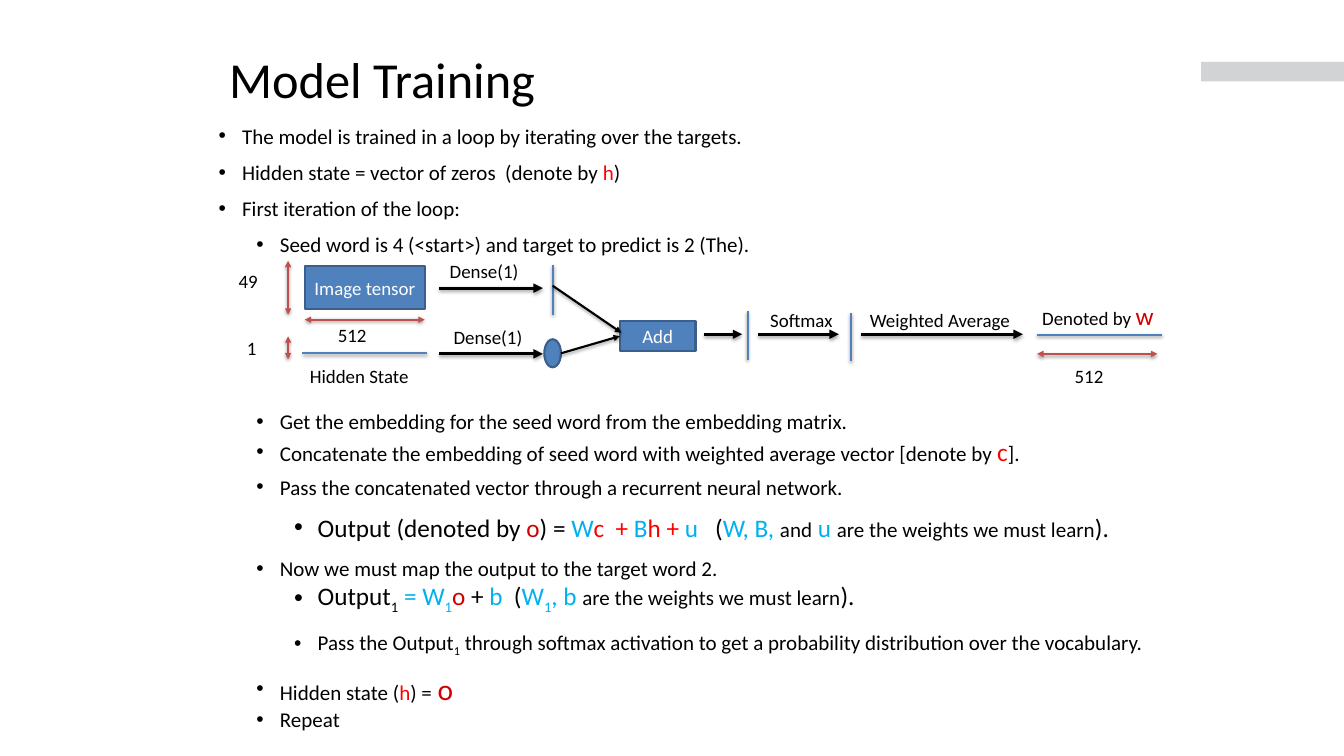
from lxml import etree
from pptx import Presentation
from pptx.dml.color import RGBColor
from pptx.enum.shapes import MSO_CONNECTOR, MSO_SHAPE
from pptx.enum.text import MSO_ANCHOR, MSO_AUTO_SIZE, PP_ALIGN
from pptx.oxml.ns import qn
from pptx.util import Cm, Pt

RECTANGLE, OVAL = MSO_SHAPE.RECTANGLE, MSO_SHAPE.OVAL
STRAIGHT = MSO_CONNECTOR.STRAIGHT
TOP, MIDDLE = MSO_ANCHOR.TOP, MSO_ANCHOR.MIDDLE
LEFT, CENTER = PP_ALIGN.LEFT, PP_ALIGN.CENTER
NO_FIT = MSO_AUTO_SIZE.NONE

FONT = "Calibri"
COLORS = {
    "black": "000000", "white": "FFFFFF", "gray": "D1D3D4",
    "blue": "4F81BD", "edge": "3A5F8C", "brick": "C0504D",
    "red": "FF0000", "crimson": "D00000", "cyan": "00B0F0",
}


def color(name):
    return RGBColor.from_string(COLORS[name])


def write(para, spans, size, name="black", align=LEFT):
    para.alignment = align
    para.font.name = FONT
    para.font.size = Pt(size)
    para.font.color.rgb = color(name)
    for text, span_color, span_size, *subscript in spans:
        span = para.add_run()
        span.text = text
        if span_color:
            span.font.color.rgb = color(span_color)
        if span_size:
            span.font.size = Pt(span_size)
        if subscript:
            span.font._element.set("baseline", "-25000")


deck = Presentation()
deck.slide_width, deck.slide_height = Cm(45.16), Cm(25.4)
page = deck.slides.add_slide(deck.slide_layouts[1])

bar = page.shapes.add_shape(RECTANGLE, Cm(40.36), Cm(2.08), Cm(4.8), Cm(0.66))
bar.shadow.inherit = False
bar.fill.solid()
bar.fill.fore_color.rgb = color("gray")
bar.line.fill.background()

title = page.shapes.title
title.left, title.top, title.width, title.height = Cm(7.7), Cm(1.6), Cm(33.22), Cm(1.35)
frame = title.text_frame
frame.margin_left = frame.margin_right = frame.margin_top = frame.margin_bottom = 0
frame.vertical_anchor = TOP
frame.auto_size = NO_FIT
write(frame.paragraphs[0], [("Model Training", None, None)], 48)

bullets = [
    (0, 0, [("The model is trained in a loop by iterating over the targets.", None, None)]),
    (0, 10.5, [("Hidden state = vector of zeros  (denote by ", None, None),
               ("h", "red", None), (")", None, None)]),
    (0, 10.5, [("First iteration of the loop:", None, None)]),
    (1, 10.5, [("Seed word is 4 (<start>) and target to predict is 2 (The).", None, None)]),
    (1, 144, [("Get the embedding for the seed word from the embedding matrix.", None, None)]),
    (1, 3, [("Concatenate the embedding of seed word with weighted average vector [denote by ",
             None, None), ("c", "red", 24), ("].", None, None)]),
    (1, 7, [("Pass the concatenated vector through a recurrent neural network.", None, None)]),
    (2, 12, [("Output (denoted by ", None, 24), ("o", "crimson", 24), (") = ", None, 24),
             ("W", "cyan", 24), ("c  + ", "red", 24), ("B", "cyan", 24), ("h + ", "red", 24),
             ("u   ", "cyan", 24), ("(", None, 24), ("W, B, ", "cyan", 24),
             ("and", None, None), (" u ", "cyan", 24),
             ("are the weights we must learn", None, None), (").", None, 24)]),
    (1, 12.5, [("Now we must map the output to the target word 2.", None, None)]),
    (2, 0, [("Output", None, 24), ("1", None, 24, True), (" = W", "cyan", 24),
            ("1", "cyan", 24, True), ("o", "crimson", 24), (" + ", None, 24),
            ("b  ", "cyan", 24), ("(", None, 24), ("W", "cyan", 24),
            ("1", "cyan", 24, True), (", b ", "cyan", 24),
            ("are the weights we must learn", None, None), (").", None, 24)]),
    (2, 13.5, [("Pass the Output", None, None), ("1", None, None, True),
               (" through softmax activation to get a probability distribution over the vocabulary.",
                None, None)]),
    (1, 12.5, [("Hidden state (", None, None), ("h", "red", None), (") =", None, None),
               (" ", None, 24), ("o", "crimson", 28)]),
    (1, 0, [("Repeat", None, None)]),
]
body = page.placeholders[1]
body.left, body.top, body.width, body.height = Cm(7.09), Cm(4.01), Cm(35.74), Cm(21.08)
frame = body.text_frame
frame.word_wrap = True
frame.auto_size = NO_FIT
frame.vertical_anchor = TOP
for index, (level, gap, spans) in enumerate(bullets):
    para = frame.add_paragraph() if index else frame.paragraphs[0]
    para.level = level
    layout = para._p.get_or_add_pPr()
    layout.set("marL", str(Cm(0.79 + 1.27 * level)))
    layout.set("indent", str(-Cm(0.79)))
    etree.SubElement(layout, qn("a:buFont")).set("typeface", "Arial")
    etree.SubElement(layout, qn("a:buChar")).set("char", "•")
    para.space_before = Pt(gap)
    para.space_after = Pt(0)
    write(para, spans, 20)

blocks = {}
for name, kind, left, top, width, height, text in [
    ("image", RECTANGLE, 10.24, 8.94, 4.04, 1.45, "Image tensor"),
    ("score", OVAL, 18.29, 11.4, 0.56, 0.94, ""),
    ("add", RECTANGLE, 20.83, 10.8, 2.54, 0.99, "Add"),
]:
    block = page.shapes.add_shape(kind, Cm(left), Cm(top), Cm(width), Cm(height))
    block.shadow.inherit = False
    block.fill.solid()
    block.fill.fore_color.rgb = color("blue")
    block.line.color.rgb = color("edge")
    block.line.width = Pt(2)
    if text:
        block.text_frame.vertical_anchor = MIDDLE
        write(block.text_frame.paragraphs[0], [(text, None, None)], 18, "white", CENTER)
    blocks[name] = block

vectors = [
    (18.57, 8.92, 18.57, 10.57), (25.12, 10.46, 25.12, 12.09),
    (28.6, 10.52, 28.6, 12.14), (10.16, 11.86, 14.35, 11.86),
    (34.85, 11.25, 39.04, 11.25),
]
dimensions = [
    (9.68, 8.76, 9.68, 10.57), (10.24, 10.74, 14.27, 10.74),
    (9.68, 11.3, 9.68, 12.07), (34.85, 11.89, 38.89, 11.89),
]
steps = [
    (14.76, 9.68, 18.24, 9.68), (14.76, 11.89, 18.24, 11.89),
    (23.67, 11.23, 24.94, 11.23), (25.48, 11.23, 28.19, 11.23),
    (28.93, 11.23, 34.37, 11.23),
]
merges = [(18.57, 9.6, 20.88, 11.18), (18.85, 11.87, 20.83, 11.29)]

for group, line_color, weight, ends, distance, alpha in [
    (vectors, "blue", 2, [], 20000, 38000),
    (dimensions, "brick", 2, ["a:headEnd", "a:tailEnd"], 20000, 38000),
    (steps, "black", 3, ["a:tailEnd"], 23000, 35000),
    (merges, "black", 2, ["a:tailEnd"], 20000, 38000),
]:
    for points in group:
        link = page.shapes.add_connector(STRAIGHT, *[Cm(point) for point in points])
        link.line.color.rgb = color(line_color)
        link.line.width = Pt(weight)
        for end in ends:
            etree.SubElement(link.line._get_or_add_ln(), qn(end)).set("type", "triangle")
        effects = etree.SubElement(link._element.spPr, qn("a:effectLst"))
        shadow = etree.SubElement(effects, qn("a:outerShdw"), blurRad="40000",
                                  dist=str(distance), dir="5400000", rotWithShape="0")
        tone = etree.SubElement(shadow, qn("a:srgbClr"), val=COLORS["black"])
        etree.SubElement(tone, qn("a:alpha"), val=str(alpha))
link.end_connect(blocks["add"], 1)

for left, top, width, spans in [
    (7.77, 8.94, 3.18, [("49", None, None)]),
    (11.1, 10.74, 3.18, [("512", None, None)]),
    (8.05, 11.18, 3.18, [("1", None, None)]),
    (10.16, 12.12, 4.32, [("Hidden State", None, None)]),
    (14.86, 8.59, 3.78, [("Dense(1)", None, None)]),
    (14.99, 10.8, 3.78, [("Dense(1)", None, None)]),
    (25.63, 10.26, 3.78, [("Softmax", None, None)]),
    (28.98, 10.24, 5.44, [("Weighted Average", None, None)]),
    (34.77, 9.96, 4.95, [("Denoted by ", None, None), ("w", "crimson", 24)]),
    (35.86, 12.14, 3.18, [("512", None, None)]),
]:
    box = page.shapes.add_textbox(Cm(left), Cm(top), Cm(width), Cm(1.02))
    box.text_frame.word_wrap = True
    write(box.text_frame.paragraphs[0], spans, 18)

deck.save("out.pptx")
